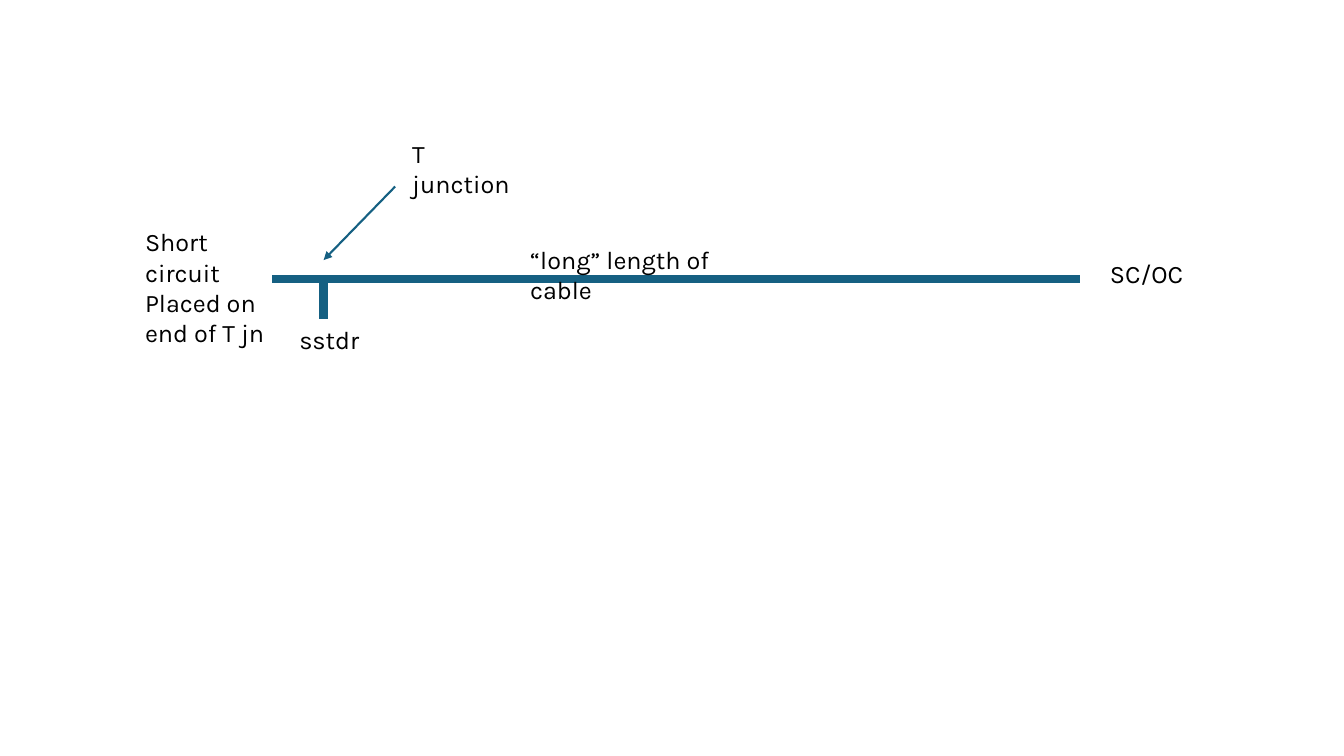
import pptx
import pptx.dml.color
import pptx.enum.shapes
import pptx.enum.text
import pptx.oxml
import pptx.oxml.ns
import pptx.util

Inches = pptx.util.Inches
COLORS = {"cable": "156082", "text": "000000"}
FONT = "Karla"


def rgb(name):
    return pptx.dml.color.RGBColor.from_string(COLORS[name])


def add_line(slide, start, end, width, arrow=False):
    points = [Inches(v) for v in (*start, *end)]
    sp = slide.shapes.add_connector(pptx.enum.shapes.MSO_CONNECTOR.STRAIGHT, *points)
    sp.line.color.rgb = rgb("cable")
    sp.line.width = pptx.util.Pt(width)
    if arrow:
        tail = pptx.oxml.parse_xml(
            f'<a:tailEnd {pptx.oxml.ns.nsdecls("a")} type="triangle"/>')
        sp.line._get_or_add_ln().append(tail)
    sp._element.spPr.append(
        pptx.oxml.parse_xml(f'<a:effectLst {pptx.oxml.ns.nsdecls("a")}/>'))


def add_label(slide, left, top, width, height, *lines):
    sp = slide.shapes.add_textbox(*[Inches(v) for v in (left, top, width, height)])
    tf = sp.text_frame
    tf.word_wrap = True
    tf.auto_size = pptx.enum.text.MSO_AUTO_SIZE.SHAPE_TO_FIT_TEXT
    for i, line in enumerate(lines):
        p = tf.add_paragraph() if i else tf.paragraphs[0]
        r = p.add_run()
        r.text = line
        r.font.name = FONT
        r.font.size = pptx.util.Pt(18)
        r.font.color.rgb = rgb("text")


def add_cable_diagram(slide, left, top, width):
    right = left + width
    junction = left + 0.51
    add_line(slide, (left, top), (right, top), 6)
    add_line(slide, (junction, top + 0.01), (junction, top + 0.39), 6)
    add_label(slide, junction - 0.34, top + 0.4, 1.5, 0.4, "sstdr")
    add_label(slide, left - 1.36, top - 0.57, 1.62, 1.01,
              "Short circuit", "Placed on end of T jn")
    add_label(slide, junction + 0.78, top - 1.45, 1.26, 0.4, "T junction")
    add_line(slide, (junction + 0.71, top - 0.92), (junction, top - 0.19), 1.5, arrow=True)
    add_label(slide, right + 0.2, top - 0.26, 0.96, 0.4, "SC/OC")
    add_label(slide, left + 2.46, top - 0.4, 2.54, 0.4, "“long” length of cable")


def main():
    prs = pptx.Presentation()
    prs.slide_width = Inches(13.33)
    prs.slide_height = Inches(7.5)
    slide = prs.slides.add_slide(prs.slide_layouts[6])
    add_cable_diagram(slide, 2.7, 2.77, 8.01)
    prs.save("out.pptx")


if __name__ == "__main__":
    main()
